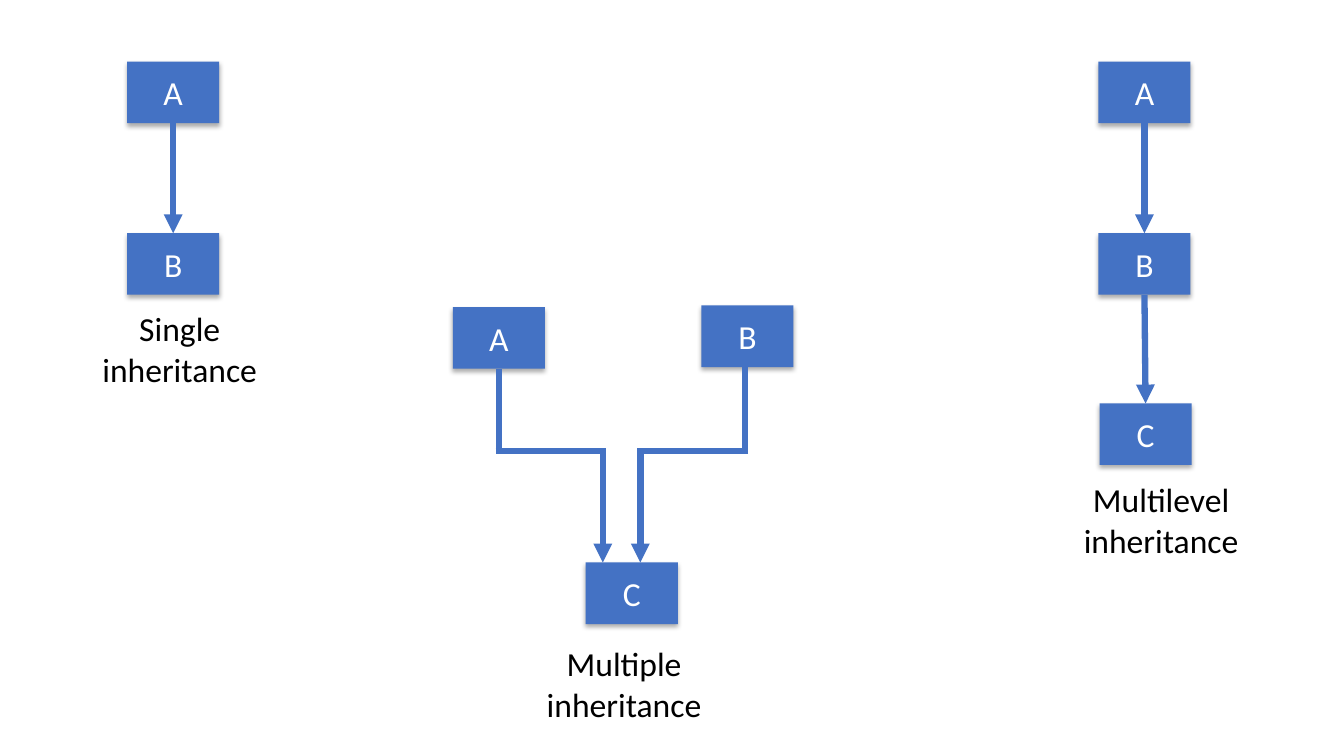
from lxml import etree
from pptx import Presentation
from pptx.dml.color import RGBColor
from pptx.enum.shapes import MSO_CONNECTOR, MSO_SHAPE
from pptx.enum.text import MSO_ANCHOR, PP_ALIGN
from pptx.oxml import parse_xml
from pptx.oxml.ns import nsdecls, qn
from pptx.util import Pt

RECT = MSO_SHAPE.RECTANGLE
STRAIGHT = MSO_CONNECTOR.STRAIGHT
CENTER = PP_ALIGN.CENTER
MIDDLE = MSO_ANCHOR.MIDDLE

BLUE = RGBColor(0x44, 0x72, 0xC4)
WHITE = RGBColor(0xFF, 0xFF, 0xFF)
BLACK = RGBColor(0x00, 0x00, 0x00)

BOX_W, BOX_H = 65.8, 44
LABEL_W, LABEL_H = 164, 65.4
LINE_W = 4.5
BOTTOM, TOP = 2, 0

SHADOW = (
    f'<a:effectLst {nsdecls("a")}>'
    '<a:outerShdw blurRad="44450" dist="27940" dir="5400000" algn="ctr">'
    '<a:srgbClr val="000000"><a:alpha val="32000"/></a:srgbClr>'
    '</a:outerShdw></a:effectLst>'
)


def write_text(shape, text, color):
    tf = shape.text_frame
    tf.word_wrap = True
    tf.text = text
    p = tf.paragraphs[0]
    p.alignment = CENTER
    font = p.runs[0].font
    font.name = "Calibri"
    font.size = Pt(24)
    font.color.rgb = color


def add_class_box(s, name, left, top):
    box = s.shapes.add_shape(RECT, Pt(left), Pt(top), Pt(BOX_W), Pt(BOX_H))
    box.fill.solid()
    box.fill.fore_color.rgb = BLUE
    box.line.fill.background()
    box._element.spPr.append(parse_xml(SHADOW))
    box.text_frame.vertical_anchor = MIDDLE
    write_text(box, name, WHITE)
    return box


def add_label(s, text, left, top):
    label = s.shapes.add_textbox(Pt(left), Pt(top), Pt(LABEL_W), Pt(LABEL_H))
    write_text(label, text, BLACK)


def add_line(s, x1, y1, x2, y2, arrow=False):
    line = s.shapes.add_connector(STRAIGHT, Pt(x1), Pt(y1), Pt(x2), Pt(y2))
    line.line.color.rgb = BLUE
    line.line.width = Pt(LINE_W)
    if arrow:
        etree.SubElement(line.line._get_or_add_ln(), qn("a:tailEnd"), type="triangle")
    etree.SubElement(line._element.spPr, qn("a:effectLst"))
    return line


def add_chain(s, text, boxes, label_at):
    """Stack class boxes, each joined to the next by an arrow, above a label."""
    shapes = [add_class_box(s, *box) for box in boxes]
    for parent, child in zip(shapes, shapes[1:]):
        arrow = add_line(s, 0, 0, 0, 0, arrow=True)
        arrow.begin_connect(parent, BOTTOM)
        arrow.end_connect(child, TOP)
    add_label(s, text, *label_at)


def add_multiple_inheritance(s):
    bend_y, child_top = 322.4, 401.8
    parents = [
        ("A", 323.4, 219.4, 356.3, 430.6),
        ("B", 501, 218.2, 532.2, 457.4),
    ]
    for name, left, top, start_x, end_x in parents:
        add_class_box(s, name, left, top)
        overlap = LINE_W / 2 if end_x > start_x else -LINE_W / 2
        add_line(s, start_x, top + BOX_H, start_x, bend_y)
        add_line(s, start_x - overlap, bend_y, end_x + overlap, bend_y)
        add_line(s, end_x, bend_y, end_x, child_top, arrow=True)
    add_class_box(s, "C", 418.4, child_top)
    add_label(s, "Multiple inheritance", 363.8, 455.8)


def main():
    prs = Presentation()
    prs.slide_width, prs.slide_height = Pt(960), Pt(540)
    s = prs.slides.add_slide(prs.slide_layouts[6])
    add_chain(s, "Single inheritance",
              [("A", 90.8, 44), ("B", 90.8, 166.6)], (46.4, 216.6))
    add_multiple_inheritance(s)
    add_chain(s, "Multilevel inheritance",
              [("A", 784.6, 44), ("B", 784.6, 166.6), ("C", 785.4, 288.2)],
              (747.4, 338.8))
    prs.save("out.pptx")


if __name__ == "__main__":
    main()
